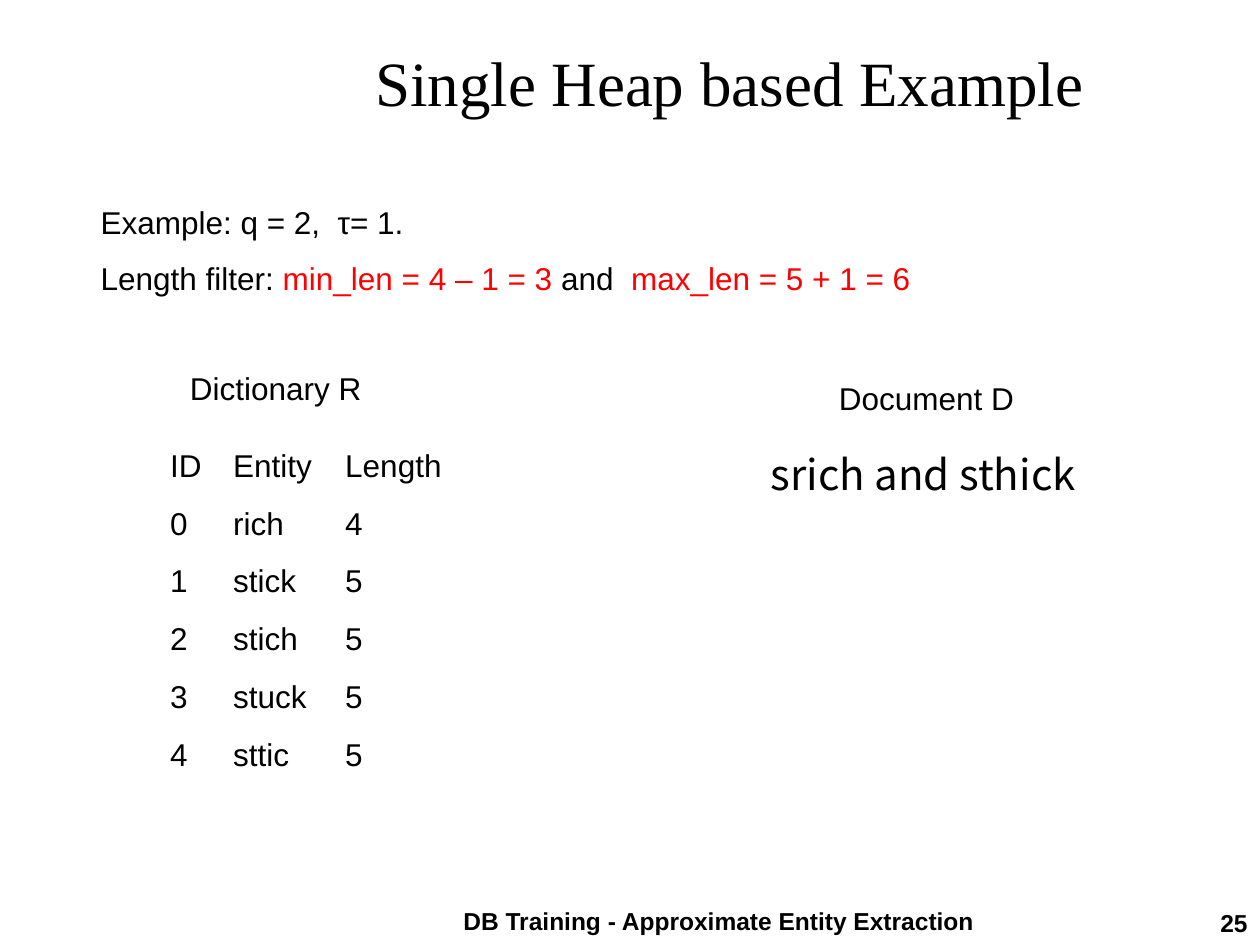
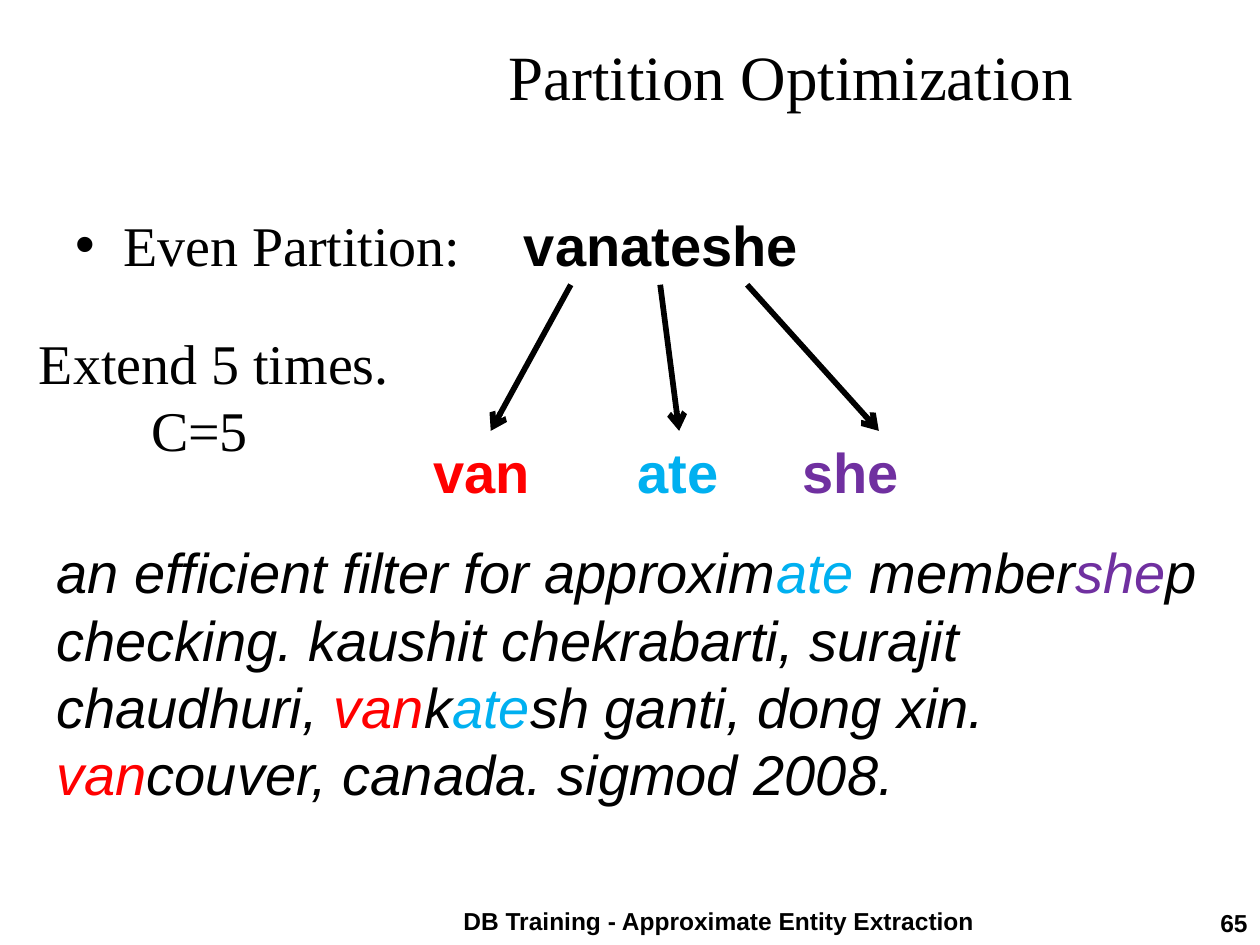
"""Build two slides on approximate entity extraction."""
from dataclasses import dataclass

from lxml.etree import SubElement
from pptx import Presentation
from pptx.dml.color import RGBColor as RGB
from pptx.enum.shapes import MSO_CONNECTOR as Connector
from pptx.enum.text import MSO_ANCHOR as Anchor, PP_ALIGN as Align
from pptx.oxml.ns import qn
from pptx.util import Inches, Pt


@dataclass(frozen=True)
class Theme:
    black: RGB = RGB(0x00, 0x00, 0x00)
    red: RGB = RGB(0xFF, 0x00, 0x00)
    blue: RGB = RGB(0x00, 0xB0, 0xF0)
    purple: RGB = RGB(0x70, 0x30, 0xA0)
    serif: str = "Times New Roman"
    sans: str = "Arial"
    cjk: str = "Noto Sans CJK KR"
    title: int = 36
    large: int = 32
    medium: int = 24
    small: int = 18
    footer: int = 14
    arrow: float = 3.25


class Deck:
    def __init__(self, theme):
        self.theme = theme
        self.prs = Presentation()
        self.prs.slide_width, self.prs.slide_height = Inches(10), Inches(7.5)
        self.slide = None

    def add_runs(self, paragraph, runs, size, font=None, bold=False, italic=False):
        if isinstance(runs, str):
            runs = [(runs, self.theme.black)]
        for words, color in runs:
            run = paragraph.add_run()
            run.text = words
            run.font.size, run.font.name = Pt(size), font or self.theme.sans
            run.font.bold, run.font.italic = bold, italic
            run.font.color.rgb = color

    def start(self, title, place, number):
        self.slide = self.prs.slides.add_slide(self.prs.slide_layouts[5])
        heading = self.slide.shapes.title
        heading.left, heading.top, heading.width, heading.height = map(Inches, place)
        heading.text_frame.vertical_anchor = Anchor.MIDDLE
        line = heading.text_frame.paragraphs[0]
        line.alignment = Align.RIGHT
        self.add_runs(line, title, self.theme.title, self.theme.serif)
        self.text((3.5, 7.14, 4.41, 0.44), ["DB Training - Approximate Entity Extraction"],
                  self.theme.footer, align=Align.CENTER, bold=True)
        self.text((8.39, 7.16, 1.61, 0.37), [number],
                  self.theme.footer, align=Align.RIGHT, bold=True)

    def text(self, place, lines, size, align=Align.LEFT, spacing=None, wrap=True, **style):
        box = self.slide.shapes.add_textbox(*map(Inches, place))
        frame = box.text_frame
        frame.word_wrap = wrap
        for index, runs in enumerate(lines):
            line = frame.add_paragraph() if index else frame.paragraphs[0]
            line.alignment = align
            if spacing:
                line.line_spacing = spacing
            self.add_runs(line, runs, size, **style)
        return box

    def indent(self, box, index, margin, hanging=0, bullet=None):
        props = box.text_frame.paragraphs[index]._p.get_or_add_pPr()
        props.set("marL", str(Inches(margin)))
        props.set("indent", str(-Inches(hanging)))
        if bullet:
            SubElement(props, qn("a:buFont")).set("typeface", self.theme.sans)
            SubElement(props, qn("a:buChar")).set("char", bullet)

    def table(self, left, top, widths, row_height, rows):
        table = self.slide.shapes.add_table(
            len(rows), len(widths), Inches(left), Inches(top),
            Inches(sum(widths)), Inches(row_height * len(rows))).table
        table.first_row = table.horz_banding = False
        for column, width in zip(table.columns, widths):
            column.width = Inches(width)
        for r, row in enumerate(rows):
            for c, words in enumerate(row):
                cell = table.cell(r, c)
                cell.fill.background()
                self.add_runs(cell.text_frame.paragraphs[0], words, self.theme.small)

    def arrow(self, x, y, target):
        arrow = self.slide.shapes.add_connector(
            Connector.STRAIGHT, Inches(x), Inches(y), target.left, target.top)
        arrow.end_connect(target, 0)
        arrow.line.color.rgb = self.theme.black
        arrow.line.width = Pt(self.theme.arrow)
        SubElement(arrow.line._get_or_add_ln(), qn("a:tailEnd")).set("type", "arrow")
        SubElement(arrow._element.spPr, qn("a:effectLst"))


def heap_example(deck):
    theme = deck.theme
    deck.start("Single Heap based Example", (1.14, 0.21, 7.56, 0.87), "25")
    entities = [("rich", 4), ("stick", 5), ("stich", 5), ("stuck", 5), ("sttic", 5)]
    rows = [(str(key), name, str(length)) for key, (name, length) in enumerate(entities)]
    deck.table(1.25, 3.51, (0.5, 0.89, 1.11), 0.46, [("ID", "Entity", "Length"), *rows])
    deck.text((1.41, 2.88, 2.03, 0.4), ["Dictionary R"], theme.small)
    deck.text((6.56, 2.96, 1.87, 0.4), ["Document D"], theme.small)
    deck.text((6.02, 3.51, 2.89, 0.9), ["srich and sthick"], theme.medium, font=theme.cjk)
    length_filter = [("Length filter: ", theme.black), ("min_len = 4 – 1 = 3 ", theme.red),
                     ("and  ", theme.black), ("max_len = 5 + 1 = 6", theme.red)]
    deck.text((0.7, 1.41, 8.47, 1), ["Example: q = 2,  τ= 1.", length_filter],
              theme.small, spacing=1.5)


def partition(deck):
    theme = deck.theme
    deck.start("Partition Optimization", (0.5, -0.03, 8.12, 1.25), "65")
    method = deck.text((0.5, 1.62, 9, 4.8), ["Even Partition:"], theme.large, font=theme.serif)
    deck.indent(method, 0, 0.38, 0.38, "•")
    deck.text((4.06, 1.62, 2.63, 0.64), ["vanateshe"], theme.large, bold=True)
    van, ate, she = ("van", theme.red), ("ate", theme.blue), ("she", theme.purple)
    for part, left, width, start in ((van, 3.34, 1.11, 4.53), (ate, 4.96, 0.86, 5.24),
                                     (she, 6.27, 1.41, 5.93)):
        segment = deck.text((left, 3.42, width, 0.64), [[part]], theme.large, bold=True)
        deck.arrow(start, 2.26, segment)

    def plain(words):
        return words, theme.black

    document = [
        [plain("an efficient filter for approxim"), ate, plain(" member"), she, plain("p")],
        [plain("checking. kaushit chekrabarti, surajit chaudhuri, "), van, plain("k"), ate,
         plain("sh ganti, dong xin. "), van, plain("couver, canada. sigmod 2008.")],
    ]
    deck.text((0.35, 4.22, 9.33, 2.24), document, theme.large, italic=True)
    cost = deck.text((0.21, 2.56, 2.98, 1.17), ["Extend 5 times.", "C=5"],
                     theme.large, wrap=False, font=theme.serif)
    deck.indent(cost, 1, 0.89)


def main():
    deck = Deck(Theme())
    heap_example(deck)
    partition(deck)
    deck.prs.save("out.pptx")


if __name__ == "__main__":
    main()
